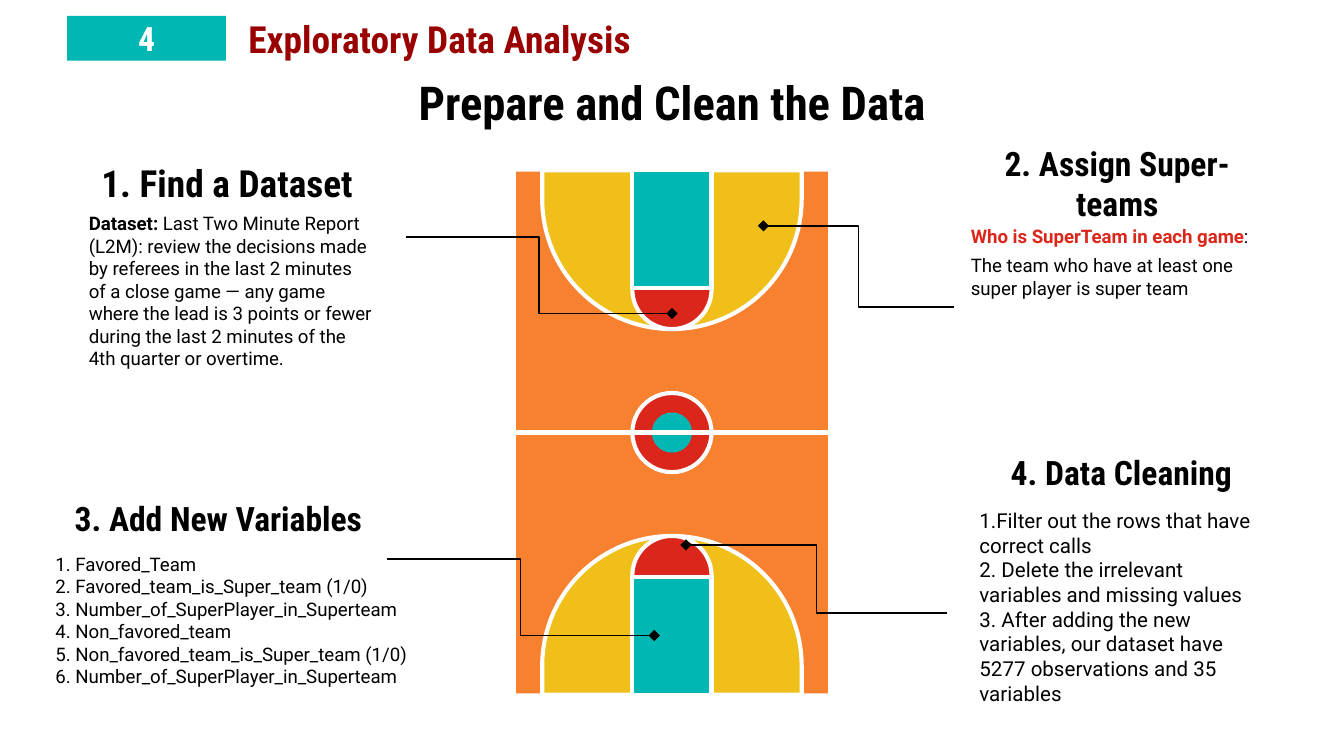
from dataclasses import dataclass
from math import cos, pi, sin

from lxml import etree
from pptx import Presentation
from pptx.dml.color import RGBColor
from pptx.enum.shapes import MSO_CONNECTOR, MSO_SHAPE
from pptx.enum.text import MSO_ANCHOR, MSO_AUTO_SIZE, PP_ALIGN
from pptx.oxml.ns import qn
from pptx.shapes.autoshape import Shape
from pptx.shapes.connector import Connector
from pptx.slide import Slide
from pptx.util import Pt

RECTANGLE, OVAL = MSO_SHAPE.RECTANGLE, MSO_SHAPE.OVAL
ELBOW, STRAIGHT = MSO_CONNECTOR.ELBOW, MSO_CONNECTOR.STRAIGHT
TOP, MIDDLE = MSO_ANCHOR.TOP, MSO_ANCHOR.MIDDLE
LEFT, CENTER = PP_ALIGN.LEFT, PP_ALIGN.CENTER
NO_AUTOFIT = MSO_AUTO_SIZE.NONE
TWO_CONTENT_LAYOUT = 3


@dataclass(frozen=True)
class Theme:
    heading_font: str = "Roboto Condensed"
    body_font: str = "Roboto"
    black: str = "000000"
    white: str = "FFFFFF"
    teal: str = "00B7B3"
    red: str = "DB271B"
    dark_red: str = "990000"
    orange: str = "F8812F"
    yellow: str = "F0BF1A"
    title_size: float = 25
    section_size: float = 20
    heading_size: float = 18
    list_size: float = 11
    body_size: float = 10
    court_line: float = 2.2
    callout_line: float = 0.75


THEME = Theme()


@dataclass(frozen=True)
class Box:
    left: float
    top: float
    width: float
    height: float


@dataclass(frozen=True)
class Span:
    text: str
    bold: bool = False
    color: str = THEME.black


@dataclass(frozen=True)
class TextBlock:
    box: Box
    paragraphs: list[list[Span]]
    size: float = THEME.body_size
    font: str = THEME.body_font
    align: PP_ALIGN = LEFT
    anchor: MSO_ANCHOR = TOP
    top_inset: float = 7.2
    gap: float = 0
    placeholder: int | None = None


@dataclass(frozen=True)
class Callout:
    start: tuple[float, float]
    end: tuple[float, float]


def heading(box: Box, text: str, size: float = THEME.heading_size) -> TextBlock:
    return TextBlock(box, [[Span(text, True)]], size, THEME.heading_font, CENTER, MIDDLE)


def lines(*texts: str) -> list[list[Span]]:
    return [[Span(text)] for text in texts]


BADGE = TextBlock(Box(36, 8.5, 85, 24), [[Span("4", True, THEME.white)]],
                  THEME.heading_size, THEME.heading_font, CENTER, MIDDLE)

TEXT_BLOCKS = [
    TextBlock(Box(36, 32.5, 648, 45), [[Span("Prepare and Clean the Data", True)]],
              THEME.title_size, THEME.heading_font, CENTER, placeholder=0),
    TextBlock(Box(126, 8.5, 284.5, 24),
              [[Span("Exploratory Data Analysis", True, THEME.dark_red)]],
              THEME.section_size, THEME.heading_font, top_inset=0),
    heading(Box(38.5, 83.5, 166.5, 29), "1. Find a Dataset", THEME.section_size),
    TextBlock(Box(40.5, 106.5, 166.5, 126), [[
        Span("Dataset:", True),
        Span(" Last Two Minute Report (L2M): review the decisions made by referees in the "
             "last 2 minutes of a close game — any game where the lead is 3 points or fewer "
             "during the last 2 minutes of the 4th quarter or overtime."),
    ]]),
    heading(Box(513, 83.5, 171, 29), "2. Assign Super-teams"),
    TextBlock(Box(513, 113, 171, 45.5), [
        [Span("Who is SuperTeam in each game", True, THEME.red), Span(":")],
        [Span("The team who have at least one super player is super team")],
    ], gap=4),
    heading(Box(31.5, 263, 171, 29), "3. Add New Variables"),
    TextBlock(Box(22.5, 289, 211, 88), lines(
        "1. Favored_Team",
        "2. Favored_team_is_Super_team (1/0)",
        "3. Number_of_SuperPlayer_in_Superteam",
        "4. Non_favored_team",
        "5. Non_favored_team_is_Super_team (1/0)",
        "6. Number_of_SuperPlayer_in_Superteam",
    ), placeholder=1),
    heading(Box(517.5, 237, 166.5, 31.5), "4. Data Cleaning"),
    TextBlock(Box(517.5, 265, 166.5, 111), lines(
        "1.Filter out the rows that have correct calls",
        "2. Delete the irrelevant variables and missing values",
        "3. After adding the new variables, our dataset have 5277 observations and 35 variables",
    ), THEME.list_size, placeholder=2),
]

CALLOUTS = [
    Callout((217.5, 127), (360, 168)),
    Callout((511, 164.5), (409, 121)),
    Callout((207.5, 299.5), (350.5, 340.5)),
    Callout((507.5, 328.5), (367.5, 292)),
]

COURT = Box(276.5, 92, 167, 279.5)
CENTER_X = COURT.left + COURT.width / 2
CENTER_Y = COURT.top + COURT.height / 2
BASELINE, KEY_LINE, ARC_TOP = 140.5, 77.4, 55.4
ARC_RADIUS, KEY_RADIUS, DOT_RADIUS = 69.5, 21.2, 10.8
ARC_STEPS = 60


def rgb(color: str) -> RGBColor:
    return RGBColor.from_string(color)


def paint(shape: Shape, fill: str, outlined: bool = False) -> None:
    shape.shadow.inherit = False
    shape.fill.solid()
    shape.fill.fore_color.rgb = rgb(fill)
    if outlined:
        shape.line.color.rgb = rgb(THEME.white)
        shape.line.width = Pt(THEME.court_line)
    else:
        shape.line.fill.background()


def add_filled(slide: Slide, kind: MSO_SHAPE, box: Box, fill: str, outlined: bool = False) -> Shape:
    shape = slide.shapes.add_shape(kind, Pt(box.left), Pt(box.top), Pt(box.width), Pt(box.height))
    paint(shape, fill, outlined)
    return shape


def add_circle(slide: Slide, radius: float, fill: str, outlined: bool = False) -> None:
    box = Box(CENTER_X - radius, CENTER_Y - radius, 2 * radius, 2 * radius)
    add_filled(slide, OVAL, box, fill, outlined)


def add_arch(slide: Slide, radius: float, side: int, fill: str) -> None:
    angles = [pi * step / ARC_STEPS for step in range(ARC_STEPS + 1)]
    outline = [(radius, BASELINE)]
    outline += [(radius * cos(a), ARC_TOP + radius * (1 - sin(a))) for a in angles]
    outline.append((-radius, BASELINE))
    points = [(Pt(CENTER_X + x), Pt(CENTER_Y + side * y)) for x, y in outline]
    builder = slide.shapes.build_freeform(*points[0])
    builder.add_line_segments(points[1:], close=True)
    paint(builder.convert_to_shape(), fill, True)


def style_connector(connector: Connector, color: str, width: float) -> None:
    connector.line.color.rgb = rgb(color)
    connector.line.width = Pt(width)
    etree.SubElement(connector._element.spPr, qn("a:effectLst"))


def add_court(slide: Slide) -> None:
    court = add_filled(slide, RECTANGLE, COURT, THEME.orange)
    for side in (-1, 1):
        add_arch(slide, ARC_RADIUS, side, THEME.yellow)
        add_arch(slide, KEY_RADIUS, side, THEME.red)
        key_top = CENTER_Y + min(side * BASELINE, side * KEY_LINE)
        key = Box(CENTER_X - KEY_RADIUS, key_top, 2 * KEY_RADIUS, BASELINE - KEY_LINE)
        add_filled(slide, RECTANGLE, key, THEME.teal, True)
    add_circle(slide, KEY_RADIUS, THEME.red, True)
    add_circle(slide, DOT_RADIUS, THEME.teal)
    halfway = slide.shapes.add_connector(STRAIGHT, 0, 0, 0, 0)
    halfway.begin_connect(court, 1)
    halfway.end_connect(court, 3)
    style_connector(halfway, THEME.white, THEME.court_line)


def add_callout(slide: Slide, callout: Callout) -> None:
    ends = [Pt(value) for value in (*callout.start, *callout.end)]
    connector = slide.shapes.add_connector(ELBOW, *ends)
    style_connector(connector, THEME.black, THEME.callout_line)
    etree.SubElement(connector.line._get_or_add_ln(), qn("a:tailEnd"), type="diamond")


def write_text(shape: Shape, block: TextBlock) -> None:
    frame = shape.text_frame
    frame_format = {
        "word_wrap": True, "auto_size": NO_AUTOFIT, "vertical_anchor": block.anchor,
        "margin_left": Pt(7.2), "margin_right": Pt(7.2),
        "margin_top": Pt(block.top_inset), "margin_bottom": Pt(7.2),
    }
    for name, value in frame_format.items():
        setattr(frame, name, value)
    for index, spans in enumerate(block.paragraphs):
        paragraph = frame.add_paragraph() if index else frame.paragraphs[0]
        properties = paragraph._p.get_or_add_pPr()
        properties.set("marL", "0")
        properties.set("indent", "0")
        etree.SubElement(properties, qn("a:buNone"))
        paragraph.alignment = block.align
        paragraph.space_before = Pt(block.gap if index else 0)
        for span in spans:
            run = paragraph.add_run()
            run.text = span.text
            font_format = {"name": block.font, "size": Pt(block.size), "bold": span.bold}
            for name, value in font_format.items():
                setattr(run.font, name, value)
            run.font.color.rgb = rgb(span.color)


def add_text(slide: Slide, block: TextBlock) -> None:
    bounds = {name: Pt(getattr(block.box, name)) for name in ("left", "top", "width", "height")}
    if block.placeholder is None:
        shape = slide.shapes.add_textbox(*bounds.values())
    else:
        shape = slide.placeholders[block.placeholder]
        for name, value in bounds.items():
            setattr(shape, name, value)
    write_text(shape, block)


def main() -> None:
    presentation = Presentation()
    presentation.slide_width, presentation.slide_height = Pt(720), Pt(405)
    slide = presentation.slides.add_slide(presentation.slide_layouts[TWO_CONTENT_LAYOUT])
    add_court(slide)
    for callout in CALLOUTS:
        add_callout(slide, callout)
    write_text(add_filled(slide, RECTANGLE, BADGE.box, THEME.teal), BADGE)
    for block in TEXT_BLOCKS:
        add_text(slide, block)
    presentation.save("out.pptx")


if __name__ == "__main__":
    main()
